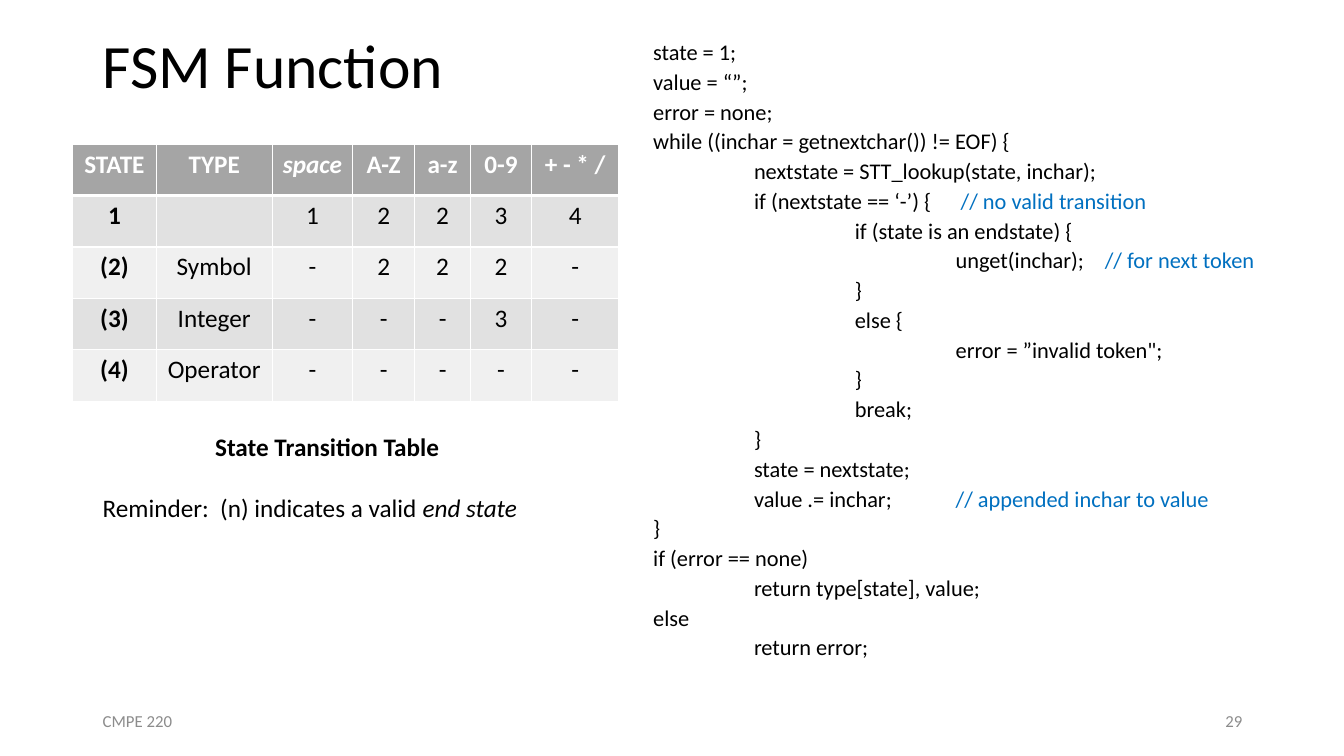
from lxml.etree import SubElement
from pptx import Presentation
from pptx.dml.color import RGBColor
from pptx.enum.text import MSO_ANCHOR, PP_ALIGN
from pptx.oxml.ns import qn
from pptx.util import Inches, Pt

BLACK = RGBColor(0x00, 0x00, 0x00)
WHITE = RGBColor(0xFF, 0xFF, 0xFF)
COMMENT_BLUE = RGBColor(0x00, 0x70, 0xC0)
FOOTER_GRAY = RGBColor(0x8C, 0x8C, 0x8C)
HEADER_GRAY = RGBColor(0xA5, 0xA5, 0xA5)
BAND_GRAYS = [RGBColor(0xE1, 0xE1, 0xE1), RGBColor(0xF0, 0xF0, 0xF0)]

FONT = "Calibri"
TAB_STOPS = [1, 2, 3, 4.48]
COLUMN_WIDTHS = [0.83, 1.15, 0.8, 0.61, 0.56, 0.6, 0.87]
ROW_HEIGHT = 0.51

TRANSITIONS = [
    ["STATE", "TYPE", "space", "A-Z", "a-z", "0-9", "+ - * /"],
    ["1", "", "1", "2", "2", "3", "4"],
    ["(2)", "Symbol", "-", "2", "2", "2", "-"],
    ["(3)", "Integer", "-", "-", "-", "3", "-"],
    ["(4)", "Operator", "-", "-", "-", "-", "-"],
]

# Each line: indent level, code, and an optional comment
CODE = [
    (0, "state = 1;"),
    (0, "value = “”;"),
    (0, "error = none;"),
    (0, "while ((inchar = getnextchar()) != EOF) {"),
    (1, "nextstate = STT_lookup(state, inchar);"),
    (1, "if (nextstate == ‘-’) {", " // no valid transition"),
    (2, "if (state is an endstate) {"),
    (3, "unget(inchar);", "// for next token"),
    (2, "}"),
    (2, "else {"),
    (3, "error = ”invalid token\";"),
    (2, "}"),
    (2, "break;"),
    (1, "}"),
    (1, "state = nextstate;"),
    (1, "value .= inchar;", "// appended inchar to value"),
    (0, "}"),
    (0, "if (error == none)"),
    (1, "return type[state], value;"),
    (0, "else"),
    (1, "return error;"),
]


def add_run(paragraph, text, size, color=BLACK, **font_format):
    run = paragraph.add_run()
    run.text = text
    run.font.color.rgb = color
    for name, value in {"name": FONT, "size": Pt(size), **font_format}.items():
        setattr(run.font, name, value)


def add_text_frame(slide, left, top, width, height, anchor=MSO_ANCHOR.TOP):
    shape = slide.shapes.add_textbox(
        Inches(left), Inches(top), Inches(width), Inches(height))
    frame = shape.text_frame
    frame.word_wrap = True
    frame.vertical_anchor = anchor
    return frame


def add_label(slide, box, text, size, color=BLACK, **paragraph_format):
    paragraph = add_text_frame(slide, *box, MSO_ANCHOR.MIDDLE).paragraphs[0]
    for name, value in paragraph_format.items():
        setattr(paragraph, name, value)
    add_run(paragraph, text, size, color)


def set_tab_stops(paragraph):
    tab_list = SubElement(paragraph._p.get_or_add_pPr(), qn("a:tabLst"))
    for stop in TAB_STOPS:
        SubElement(tab_list, qn("a:tab"), pos=str(Inches(stop)), algn="l")


def add_code(slide):
    frame = add_text_frame(slide, 6.38, 0.36, 6.29, 6.59)
    for index, (level, code, *comments) in enumerate(CODE):
        paragraph = frame.add_paragraph() if index else frame.paragraphs[0]
        paragraph.line_spacing = 0.9
        paragraph.space_before = Pt(4)
        set_tab_stops(paragraph)
        add_run(paragraph, "\t" * level + code, 16)
        for comment in comments:
            add_run(paragraph, "\t" + comment, 16, COMMENT_BLUE)


def add_borders(cell, widths):
    properties = cell._tc.get_or_add_tcPr()
    for side, width in widths.items():
        line = SubElement(properties, qn(f"a:ln{side}"), w=str(Pt(width)))
        fill = SubElement(line, qn("a:solidFill"))
        SubElement(fill, qn("a:srgbClr"), val=str(WHITE))


def add_transition_table(slide):
    table = slide.shapes.add_table(
        len(TRANSITIONS), len(COLUMN_WIDTHS), Inches(0.72), Inches(1.43),
        Inches(sum(COLUMN_WIDTHS)), Inches(ROW_HEIGHT * len(TRANSITIONS))).table
    for column, width in zip(table.columns, COLUMN_WIDTHS):
        column.width = Inches(width)
    for row_index, texts in enumerate(TRANSITIONS):
        table.rows[row_index].height = Inches(ROW_HEIGHT)
        header = row_index == 0
        for column_index, text in enumerate(texts):
            cell = table.cell(row_index, column_index)
            add_borders(cell, {"L": 1, "R": 1, "T": 3 if row_index == 1 else 1,
                               "B": 3 if header else 1})
            cell.fill.solid()
            cell.fill.fore_color.rgb = (
                HEADER_GRAY if header else BAND_GRAYS[(row_index - 1) % 2])
            paragraph = cell.text_frame.paragraphs[0]
            paragraph.alignment = PP_ALIGN.CENTER
            if text:
                add_run(paragraph, text, 18, WHITE if header else BLACK,
                        bold=header or column_index == 0,
                        italic=text == "space")


def add_caption(slide):
    frame = add_text_frame(slide, 0.92, 4.23, 4.65, 1.01)
    caption = frame.paragraphs[0]
    caption.alignment = PP_ALIGN.CENTER
    add_run(caption, "State Transition Table", 18, bold=True)
    reminder = frame.add_paragraph()
    reminder.space_before = Pt(22)
    add_run(reminder, "Reminder:  (n) indicates a valid ", 18)
    add_run(reminder, "end state", 18, italic=True)


def main():
    presentation = Presentation()
    presentation.slide_width = Inches(13.33)
    presentation.slide_height = Inches(7.5)
    slide = presentation.slides.add_slide(presentation.slide_layouts[6])

    # Title and code
    add_label(slide, (0.92, 0, 4.65, 1.35), "FSM Function", 44, line_spacing=0.9)
    add_code(slide)

    # Footer
    add_label(slide, (0.92, 6.95, 3, 0.4), "CMPE 220", 12, FOOTER_GRAY)
    add_label(slide, (9.42, 6.95, 3, 0.4), "29", 12, FOOTER_GRAY,
              alignment=PP_ALIGN.RIGHT)

    # State transition table with its caption
    add_transition_table(slide)
    add_caption(slide)

    presentation.save("out.pptx")


if __name__ == "__main__":
    main()
